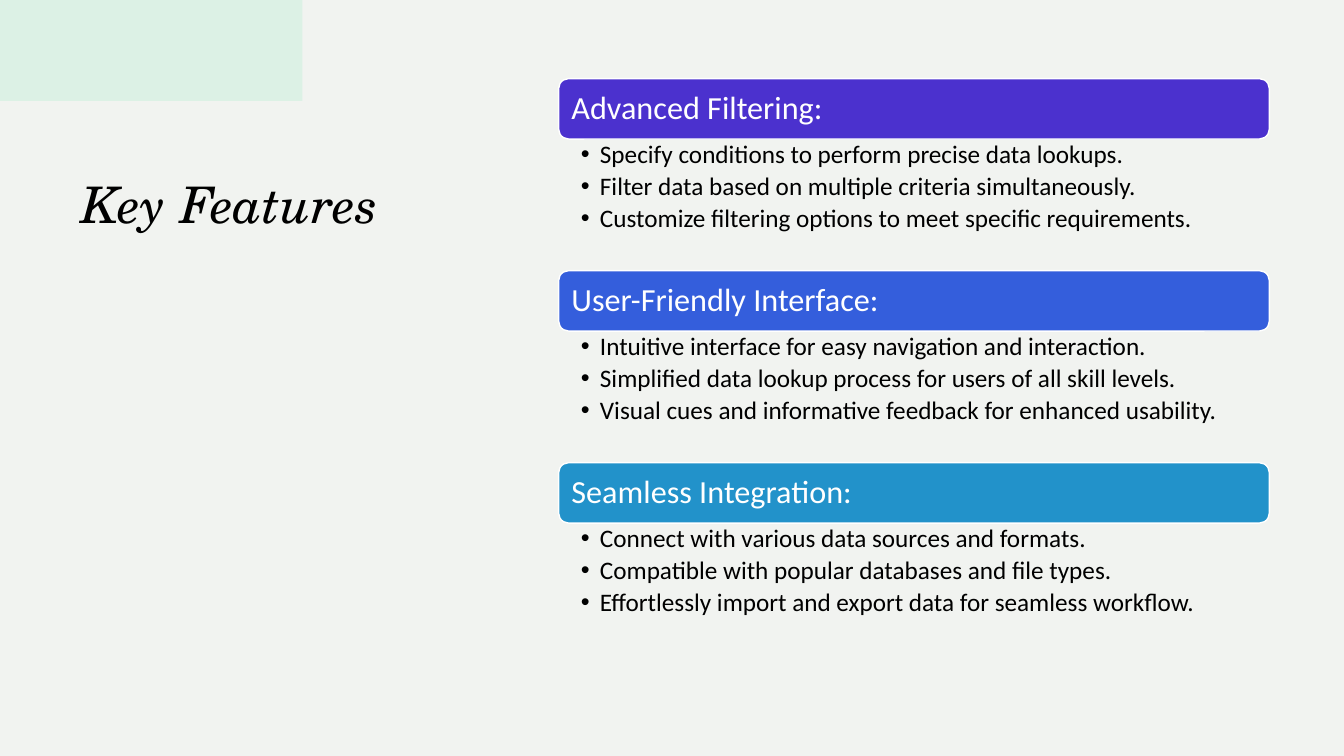
from lxml.etree import SubElement
from pptx import Presentation
from pptx.dml.color import RGBColor
from pptx.enum.shapes import MSO_SHAPE as SHAPE
from pptx.enum.text import MSO_ANCHOR as ANCHOR, PP_ALIGN as ALIGN
from pptx.oxml.ns import qn
from pptx.util import Inches, Pt

TITLE = "Key Features"
FEATURES = [
    ("Advanced Filtering:", "4B31CE", [
        "Specify conditions to perform precise data lookups.",
        "Filter data based on multiple criteria simultaneously.",
        "Customize filtering options to meet specific requirements."]),
    ("User-Friendly Interface:", "345EDC", [
        "Intuitive interface for easy navigation and interaction.",
        "Simplified data lookup process for users of all skill levels.",
        "Visual cues and informative feedback for enhanced usability."]),
    ("Seamless Integration:", "2292CA", [
        "Connect with various data sources and formats.",
        "Compatible with popular databases and file types.",
        "Effortlessly import and export data for seamless workflow."]),
]
THEME = {
    "background": "F1F3F0", "wave": "9FEFC7", "wave_alpha": 25, "outline": "FFFFFF",
    "title": {"size": Pt(36), "name": "TeX Gyre Schola", "italic": True, "color": "000000"},
    "heading": {"size": Pt(23), "name": "Calibri", "color": "FFFFFF"},
    "bullet": {"size": Pt(18), "name": "Calibri", "color": "000000"},
}
WAVE_START = (4.35, 0)
WAVE_CURVES = [
    [(4.35, 0), (4.32, 0.01), (4.32, 0.01), (4.32, 0.01)],
    [(4.32, 0.01), (3.77, 0.32), (3.2, 0.63), (2.68, 0.92)],
    [(2.68, 0.92), (2.32, 1.12), (1.95, 1.25), (1.58, 1.32)],
    [(1.58, 1.32), (1.3, 1.37), (1.02, 1.4), (0.74, 1.39)],
    [(0.74, 1.39), (0.53, 1.39), (0.31, 1.37), (0, 1.33)],
]
WAVE_STEPS = 16
LEFT, TOP, WIDTH = 5.54, 0.78, 7.05
BAR_H, LIST_H = 0.6, 1.3
PITCH = 1.905
BULLET_INDENT = Inches(0.19)


def rgb(value):
    return RGBColor.from_string(value)


def bezier(points, t):
    weights = ((1 - t) ** 3, 3 * t * (1 - t) ** 2, 3 * t * t * (1 - t), t ** 3)
    return tuple(sum(w * p[axis] for w, p in zip(weights, points)) for axis in (0, 1))


def set_frame(tf, anchor, insets):
    names = ("margin_left", "margin_top", "margin_right", "margin_bottom")
    values = {"word_wrap": True, "vertical_anchor": anchor}
    values.update(zip(names, map(Inches, insets)))
    for name, value in values.items():
        setattr(tf, name, value)


def write(p, text, style, **paragraph_format):
    for name, value in {"alignment": ALIGN.LEFT, **paragraph_format}.items():
        setattr(p, name, value)
    r = p.add_run()
    r.text = text
    for name, value in THEME[style].items():
        if name == "color":
            r.font.color.rgb = rgb(value)
        else:
            setattr(r.font, name, value)


def add_bullet(p):
    pPr = p._p.get_or_add_pPr()
    pPr.set("marL", str(BULLET_INDENT))
    pPr.set("indent", str(-BULLET_INDENT))
    SubElement(pPr, qn("a:buFont")).set("typeface", "Arial")
    SubElement(pPr, qn("a:buChar")).set("char", "•")


def add_text_box(s, *box):
    return s.shapes.add_textbox(*map(Inches, box)).text_frame


def add_wave(s):
    outline = [bezier(curve, step / WAVE_STEPS)
               for curve in WAVE_CURVES for step in range(1, WAVE_STEPS + 1)]
    builder = s.shapes.build_freeform(*WAVE_START, scale=Inches(1))
    builder.add_line_segments(outline + [(0, 0)], close=True)
    sp = builder.convert_to_shape()
    sp.shadow.inherit = False
    sp.fill.solid()
    sp.fill.fore_color.rgb = rgb(THEME["wave"])
    sp.line.fill.background()
    color = sp._element.spPr.find(qn("a:solidFill"))[0]
    SubElement(color, qn("a:alpha")).set("val", str(THEME["wave_alpha"] * 1000))


def add_feature(s, top, heading, color, bullets):
    bar = s.shapes.add_shape(SHAPE.ROUNDED_RECTANGLE, *map(Inches, (LEFT, top, WIDTH, BAR_H)))
    bar.shadow.inherit = False
    bar.fill.solid()
    bar.fill.fore_color.rgb = rgb(color)
    bar.line.color.rgb = rgb(THEME["outline"])
    bar.line.width = Pt(1)
    set_frame(bar.text_frame, ANCHOR.MIDDLE, (0.1, 0.05, 0.1, 0.05))
    write(bar.text_frame.paragraphs[0], heading, "heading", line_spacing=0.9)

    tf = add_text_box(s, LEFT, top + BAR_H, WIDTH, LIST_H)
    set_frame(tf, ANCHOR.TOP, (0.22, 0.03, 0.18, 0.03))
    for i, text in enumerate(bullets):
        p = tf.add_paragraph() if i else tf.paragraphs[0]
        write(p, text, "bullet", level=1, line_spacing=0.9, space_after=Pt(3.3))
        add_bullet(p)


def main():
    prs = Presentation()
    prs.slide_width, prs.slide_height = Inches(13.33), Inches(7.5)
    s = prs.slides.add_slide(prs.slide_layouts[6])
    s.background.fill.solid()
    s.background.fill.fore_color.rgb = rgb(THEME["background"])
    add_wave(s)
    tf = add_text_box(s, 0.71, 1.67, 4.84, 4.97)
    set_frame(tf, ANCHOR.TOP, (0.1, 0.05, 0.1, 0.05))
    write(tf.paragraphs[0], TITLE, "title")
    for i, feature in enumerate(FEATURES):
        add_feature(s, TOP + i * PITCH, *feature)
    prs.save("out.pptx")


if __name__ == "__main__":
    main()
